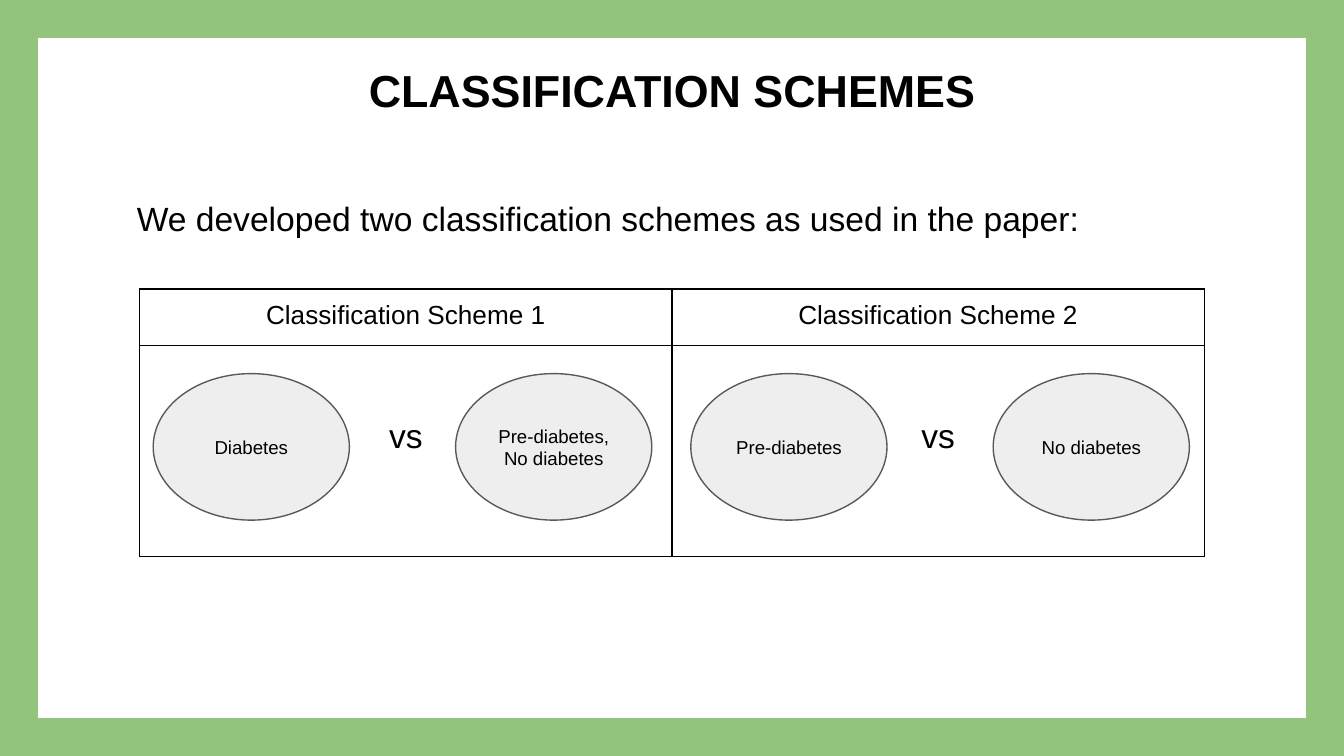
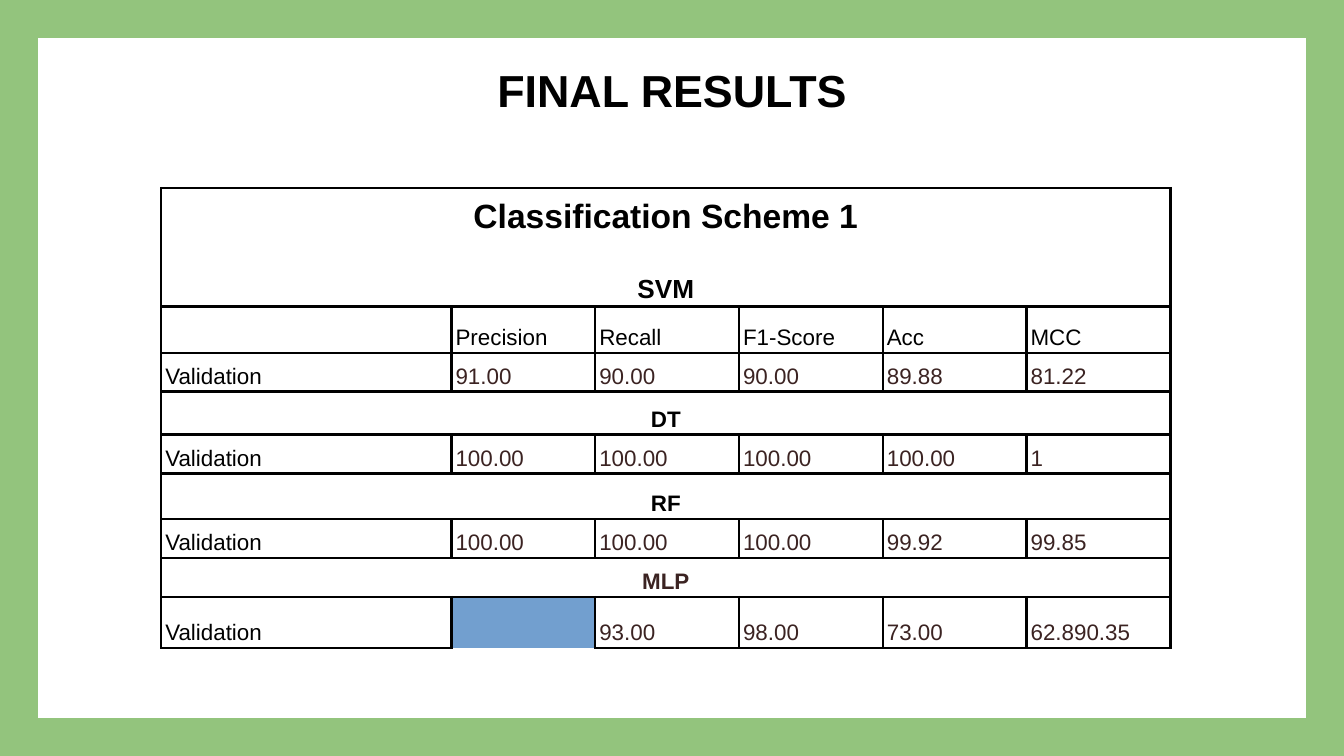
from lxml import etree
from pptx import Presentation
from pptx import util as u
from pptx.dml.color import RGBColor
from pptx.enum import shapes, text
from pptx.oxml import ns

BLACK = RGBColor(0x00, 0x00, 0x00)
WHITE = RGBColor(0xFF, 0xFF, 0xFF)
GREEN = RGBColor(0x93, 0xC4, 0x7D)
PALE_GREY = RGBColor(0xEE, 0xEE, 0xEE)
DARK_GREY = RGBColor(0x59, 0x59, 0x59)
BROWN = RGBColor(0x3B, 0x23, 0x22)
FONT = "Arial"
SLIDE_W = 10
SLIDE_H = SLIDE_W * 9 / 16
CENTER = text.PP_ALIGN.CENTER
LEFT = text.PP_ALIGN.LEFT
TOP = text.MSO_ANCHOR.TOP
MIDDLE = text.MSO_ANCHOR.MIDDLE
BOTTOM = text.MSO_ANCHOR.BOTTOM

SCHEMES = [
    ("Classification Scheme 1", ["Diabetes", "Pre-diabetes,\nNo diabetes"], 0.1),
    ("Classification Scheme 2", ["Pre-diabetes", "No diabetes"], 0.14),
]
METRICS = ["Precision", "Recall", "F1-Score", "Acc", "MCC"]
SCORES = [
    ("DT", ["100.00", "100.00", "100.00", "100.00", "1"], BLACK),
    ("RF", ["100.00", "100.00", "100.00", "99.92", "99.85"], BLACK),
    ("MLP", ["93.00", "98.00", "73.00", "62.89", "0.35"], BROWN),
]
SVM_SCORES = ["91.00", "90.00", "90.00", "89.88", "81.22"]


def inches(values):
    return [u.Inches(value) for value in values]


def write(frame, words, size, color=BLACK, bold=False, align=LEFT,
          spacing=None, before=None, add=False):
    for number, line in enumerate(words.split("\n")):
        paragraph = frame.add_paragraph() if add or number else frame.paragraphs[0]
        paragraph.alignment = align
        if spacing:
            paragraph.line_spacing = spacing
        if before:
            paragraph.space_before = u.Pt(before)
        run = paragraph.add_run()
        run.text = line
        run.font.name = FONT
        run.font.size = u.Pt(size)
        run.font.bold = bold
        run.font.color.rgb = color


def set_margins(target, side, end):
    target.margin_left = target.margin_right = u.Inches(side)
    target.margin_top = target.margin_bottom = u.Inches(end)


def paint(shape, fill, line):
    shape.shadow.inherit = False
    shape.fill.solid()
    shape.fill.fore_color.rgb = fill
    shape.line.color.rgb = line
    shape.line.width = u.Pt(0.75)


def set_borders(cell, width):
    properties = cell._tc.get_or_add_tcPr()
    for position, side in enumerate(("lnL", "lnR", "lnT", "lnB")):
        border = etree.Element(ns.qn(f"a:{side}"), w=str(u.Pt(width)))
        fill = etree.SubElement(border, ns.qn("a:solidFill"))
        etree.SubElement(fill, ns.qn("a:srgbClr"), val=str(BLACK))
        properties.insert(position, border)


def add_grid(slide, left, top, widths, heights, border, margins, fill=None):
    box = inches([left, top, sum(widths), sum(heights)])
    grid = slide.shapes.add_table(len(heights), len(widths), *box).table
    grid.first_row = grid.horz_banding = False
    for column, width in zip(grid.columns, widths):
        column.width = u.Inches(width)
    for row, height in zip(grid.rows, heights):
        row.height = u.Inches(height)
    for cell in grid.iter_cells():
        set_margins(cell, *margins)
        if fill is None:
            cell.fill.background()
        else:
            cell.fill.solid()
            cell.fill.fore_color.rgb = fill
        set_borders(cell, border)
    return grid


def add_framed_slide(deck, heading):
    slide = deck.slides.add_slide(deck.slide_layouts[0])
    subtitle = slide.placeholders[1].element
    subtitle.getparent().remove(subtitle)
    title = slide.shapes.title
    title.left, title.top, title.width, title.height = inches([0.12, 0.34, 9.76, 0.63])
    frame = title.text_frame
    frame.auto_size = text.MSO_AUTO_SIZE.NONE
    frame.vertical_anchor = BOTTOM
    set_margins(frame, 0.1, 0.1)
    write(frame, heading, 24, bold=True, align=CENTER)
    edge = slide.shapes.add_shape(shapes.MSO_SHAPE.FRAME,
                                  *inches([0, 0, SLIDE_W, SLIDE_H]))
    edge.adjustments[0] = 0.049
    paint(edge, GREEN, GREEN)
    return slide


def add_intro(slide, left, top, width, height):
    frame = slide.shapes.add_textbox(*inches([left, top, width, height])).text_frame
    frame.word_wrap = True
    set_margins(frame, 0.1, 0.1)
    write(frame, "We developed two classification schemes as used in the paper:", 18)


def add_group(slide, left, top, label):
    group = slide.shapes.add_shape(shapes.MSO_SHAPE.OVAL,
                                   *inches([left, top, 1.46, 1.09]))
    paint(group, PALE_GREY, DARK_GREY)
    frame = group.text_frame
    frame.word_wrap = True
    frame.vertical_anchor = MIDDLE
    set_margins(frame, 0.1, 0.1)
    write(frame, label, 10, align=CENTER)


def add_schemes(slide, left, top, width):
    scheme_width = width / len(SCHEMES)
    grid = add_grid(slide, left, top, [scheme_width] * len(SCHEMES),
                    [0.42, 1.57], 0.75, (0.1, 0.09))
    for index, (name, groups, inset) in enumerate(SCHEMES):
        write(grid.cell(0, index).text_frame, name, 14, align=CENTER)
        versus = grid.cell(1, index)
        versus.vertical_anchor = TOP
        versus.margin_top = u.Inches(0.54)
        write(versus.text_frame, "vs", 18, align=CENTER)
        for place, label in enumerate(groups):
            add_group(slide, left + index * scheme_width + inset + place * 2.25,
                      top + 0.63, label)


def fill_band(grid, row, label, color=BLACK):
    band = grid.cell(row, 0)
    band.merge(grid.cell(row, len(grid.columns) - 1))
    write(band.text_frame, label, 12, color, bold=True, align=CENTER, spacing=1.15)


def fill_row(grid, row, label, values, color):
    head = grid.cell(row, 0)
    head.merge(grid.cell(row, 1))
    if label:
        write(head.text_frame, label, 12, spacing=1.15)
    for column, value in enumerate(values, start=2):
        write(grid.cell(row, column).text_frame, value, 12, color, spacing=1.15)


def add_results(slide, left, top):
    heights = [0.88, 0.34, 0.29, 0.32, 0.29, 0.34, 0.29, 0.29, 0.29]
    widths = [1.09] + [1.07] * 6
    grid = add_grid(slide, left, top, widths, heights, 1.5, (0.03, 0.02), WHITE)
    for cell in grid.iter_cells():
        cell.vertical_anchor = BOTTOM
    scheme = grid.cell(0, 0)
    scheme.merge(grid.cell(0, len(widths) - 1))
    write(scheme.text_frame, "Classification Scheme 1", 18, bold=True, align=CENTER)
    write(scheme.text_frame, "SVM", 14, bold=True, align=CENTER, before=20.7, add=True)
    fill_row(grid, 1, "", METRICS, BLACK)
    fill_row(grid, 2, "Validation", SVM_SCORES, BROWN)
    for index, (model, scores, color) in enumerate(SCORES):
        row = 3 + 2 * index
        fill_band(grid, row, model, color)
        fill_row(grid, row + 1, "Validation", scores, BROWN)


def main():
    deck = Presentation()
    deck.slide_width, deck.slide_height = inches([SLIDE_W, SLIDE_H])
    schemes = add_framed_slide(deck, "CLASSIFICATION SCHEMES")
    add_intro(schemes, 0.92, 1.37, 8.1, 2.99)
    add_schemes(schemes, 1.04, 2.15, 7.92)
    results = add_framed_slide(deck, "FINAL RESULTS")
    add_results(results, 1.2, 1.4)
    deck.save("out.pptx")


if __name__ == "__main__":
    main()
